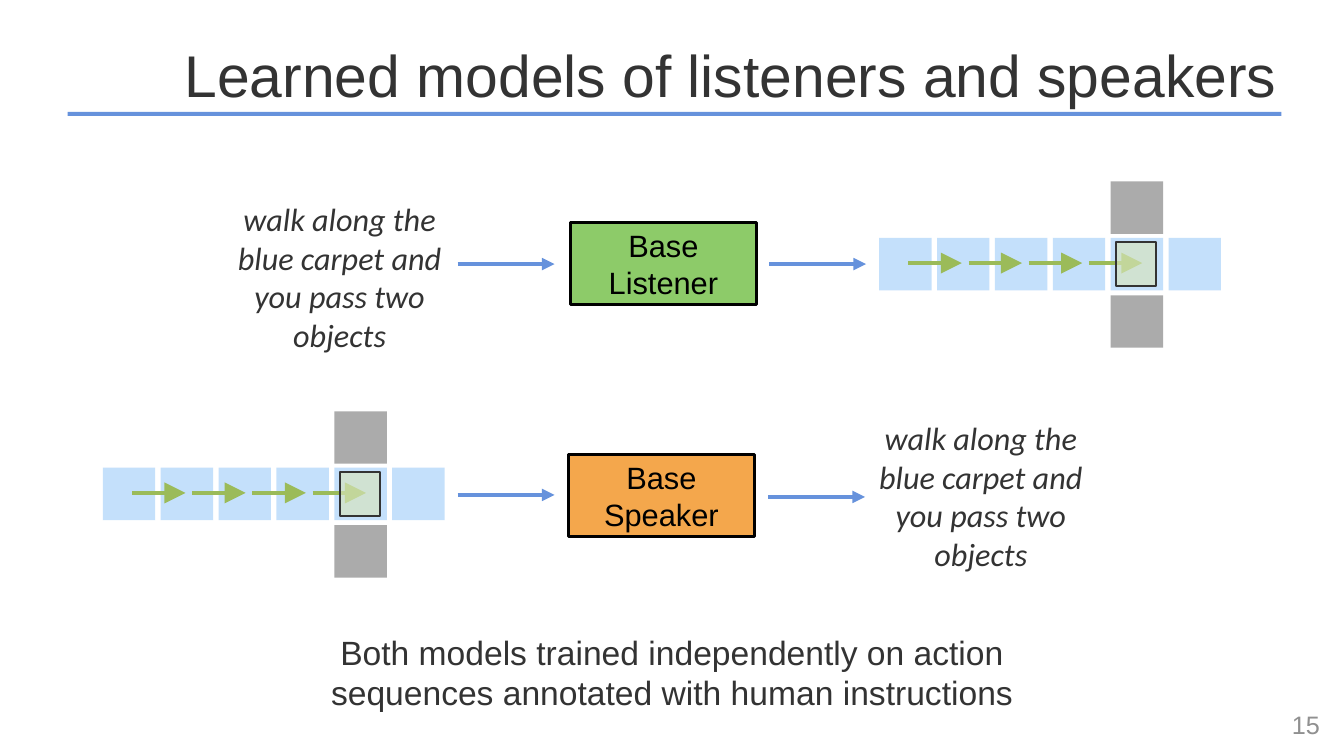
from dataclasses import dataclass

from lxml.etree import SubElement
from pptx import Presentation
from pptx.dml.color import RGBColor
from pptx.enum.shapes import MSO_CONNECTOR, MSO_SHAPE
from pptx.enum.text import MSO_ANCHOR, MSO_AUTO_SIZE, PP_ALIGN
from pptx.oxml.ns import qn
from pptx.util import Inches, Pt

INK = RGBColor(0x33, 0x33, 0x33)
BLACK = RGBColor(0x00, 0x00, 0x00)
PAGE_GRAY = RGBColor(0x90, 0x90, 0x90)
BLUE = RGBColor(0x66, 0x92, 0xDC)
LISTENER_GREEN = RGBColor(0x8D, 0xCB, 0x69)
SPEAKER_ORANGE = RGBColor(0xF4, 0xA7, 0x4C)
CARPET_BLUE = RGBColor(0xA6, 0xD1, 0xFA)
WALL_GRAY = RGBColor(0x80, 0x80, 0x80)
PATH_GREEN = RGBColor(0x9B, 0xBB, 0x59)
GOAL_GREEN = RGBColor(0xD7, 0xE4, 0xBD)

INSTRUCTION = "walk along the blue carpet and you pass two objects"
TILE = 0.52
TILE_STEP = 2.87 / 5
MOVE_STEP = 1.79 / 3


@dataclass(frozen=True)
class Area:
    left: float
    top: float
    width: float
    height: float

    def lengths(self):
        return [Inches(v) for v in (self.left, self.top, self.width, self.height)]


@dataclass(frozen=True)
class Model:
    label: str
    color: RGBColor
    box: Area
    instruction: Area
    map_left: float
    map_top: float
    arrows: tuple  # (left, height on the page) of the arrows in and out


@dataclass(frozen=True)
class Caption:
    area: Area
    lines: tuple
    align: PP_ALIGN
    font: dict


MODELS = (
    Model("Base Listener", LISTENER_GREEN, Area(5.66, 2.21, 1.84, 0.81),
          Area(2.07, 1.93, 2.6, 1.65), 8.72, 2.36, ((4.54, 2.62), (7.63, 2.62))),
    Model("Base Speaker", SPEAKER_ORANGE, Area(5.64, 4.51, 1.84, 0.81),
          Area(8.43, 4.1, 2.6, 1.65), 1.02, 4.64, ((4.54, 4.91), (7.62, 4.93))),
)

CAPTIONS = (
    Caption(Area(0.58, 0.34, 13.33, 0.78),
            ("Learned models of listeners and speakers",),
            PP_ALIGN.CENTER, {"name": "Arial", "size": Pt(42)}),
    Caption(Area(0, 6.33, 13.33, 0.68),
            ("Both models trained independently on action",
             "sequences annotated with human instructions"),
            PP_ALIGN.CENTER, {"name": "Arial", "size": Pt(24)}),
    Caption(Area(10.08, 6.99, 3.11, 0.4), ("15",),
            PP_ALIGN.RIGHT, {"name": "Arial", "size": Pt(18)}),
)


def write(frame, lines, align, color: RGBColor, font: dict) -> None:
    frame.word_wrap = True
    for index, line in enumerate(lines):
        para = frame.paragraphs[0] if index == 0 else frame.add_paragraph()
        para.alignment = align
        span = para.add_run()
        span.text = line
        span.font.color.rgb = color
        for key, value in font.items():
            setattr(span.font, key, value)


def add_rectangle(page, area: Area, fill: RGBColor, alpha: int = 100,
                  line: RGBColor | None = None, weight: float = 0):
    box = page.shapes.add_shape(MSO_SHAPE.RECTANGLE, *area.lengths())
    box.shadow.inherit = False
    box.fill.solid()
    box.fill.fore_color.rgb = fill
    if alpha < 100:
        tint = box.fill._xPr.find(qn("a:solidFill"))[0]
        SubElement(tint, qn("a:alpha")).set("val", str(alpha * 1000))
    if line is None:
        box.line.fill.background()
    else:
        box.line.color.rgb = line
        box.line.width = Pt(weight)
    return box


def add_arrow(page, left: float, top: float, length: float,
              color: RGBColor, head: str) -> None:
    arrow = page.shapes.add_connector(
        MSO_CONNECTOR.STRAIGHT, Inches(left), Inches(top),
        Inches(left + length), Inches(top))
    arrow.line.color.rgb = color
    arrow.line.width = Pt(3)
    tip = SubElement(arrow.line._get_or_add_ln(), qn("a:tailEnd"))
    for key, value in {"type": "triangle", "w": head, "len": head}.items():
        tip.set(key, value)
    SubElement(arrow._element.spPr, qn("a:effectLst"))


def add_map(page, left: float, top: float) -> None:
    # Carpet tiles, with a wall tile above and below the fifth
    for column in range(6):
        add_rectangle(page, Area(left + column * TILE_STEP, top, TILE, TILE),
                      CARPET_BLUE, 66)
    for offset in (-0.56, 0.57):
        add_rectangle(page, Area(left + 4 * TILE_STEP, top + offset, TILE, TILE),
                      WALL_GRAY, 66)
    # Moves towards the goal
    for move in range(4):
        add_arrow(page, left + 0.29 + move * MOVE_STEP, top + 0.25, 0.53,
                  PATH_GREEN, "lg")
    add_rectangle(page, Area(left + 2.35, top + 0.04, 0.4, 0.44),
                  GOAL_GREEN, 66, INK, 1.5)


def add_model(page, model: Model) -> None:
    box = add_rectangle(page, model.box, model.color, line=BLACK, weight=2)
    frame = box.text_frame
    frame.vertical_anchor = MSO_ANCHOR.MIDDLE
    for side in ("left", "top", "right", "bottom"):
        setattr(frame, f"margin_{side}", Inches(0.06))
    write(frame, (model.label,), PP_ALIGN.CENTER, BLACK,
          {"name": "Arial", "size": Pt(22)})

    note = page.shapes.add_textbox(*model.instruction.lengths()).text_frame
    write(note, (INSTRUCTION,), PP_ALIGN.CENTER, INK,
          {"name": "Calibri", "size": Pt(23), "italic": True})
    note.auto_size = MSO_AUTO_SIZE.SHAPE_TO_FIT_TEXT

    for left, top in model.arrows:
        add_arrow(page, left, top, 0.96, BLUE, "med")
    add_map(page, model.map_left, model.map_top)


def main() -> None:
    deck = Presentation()
    deck.slide_width, deck.slide_height = Inches(13.33), Inches(7.5)
    page = deck.slides.add_slide(deck.slide_layouts[6])

    # Title rule
    add_rectangle(page, Area(0.67, 1.11, 12.04, 0.04), BLUE)

    # Title, summary and page number
    for caption in CAPTIONS:
        frame = page.shapes.add_textbox(*caption.area.lengths()).text_frame
        frame.vertical_anchor = MSO_ANCHOR.MIDDLE
        color = PAGE_GRAY if caption.align == PP_ALIGN.RIGHT else INK
        write(frame, caption.lines, caption.align, color, caption.font)

    # Listener and speaker rows
    for model in MODELS:
        add_model(page, model)

    deck.save("out.pptx")


if __name__ == "__main__":
    main()
